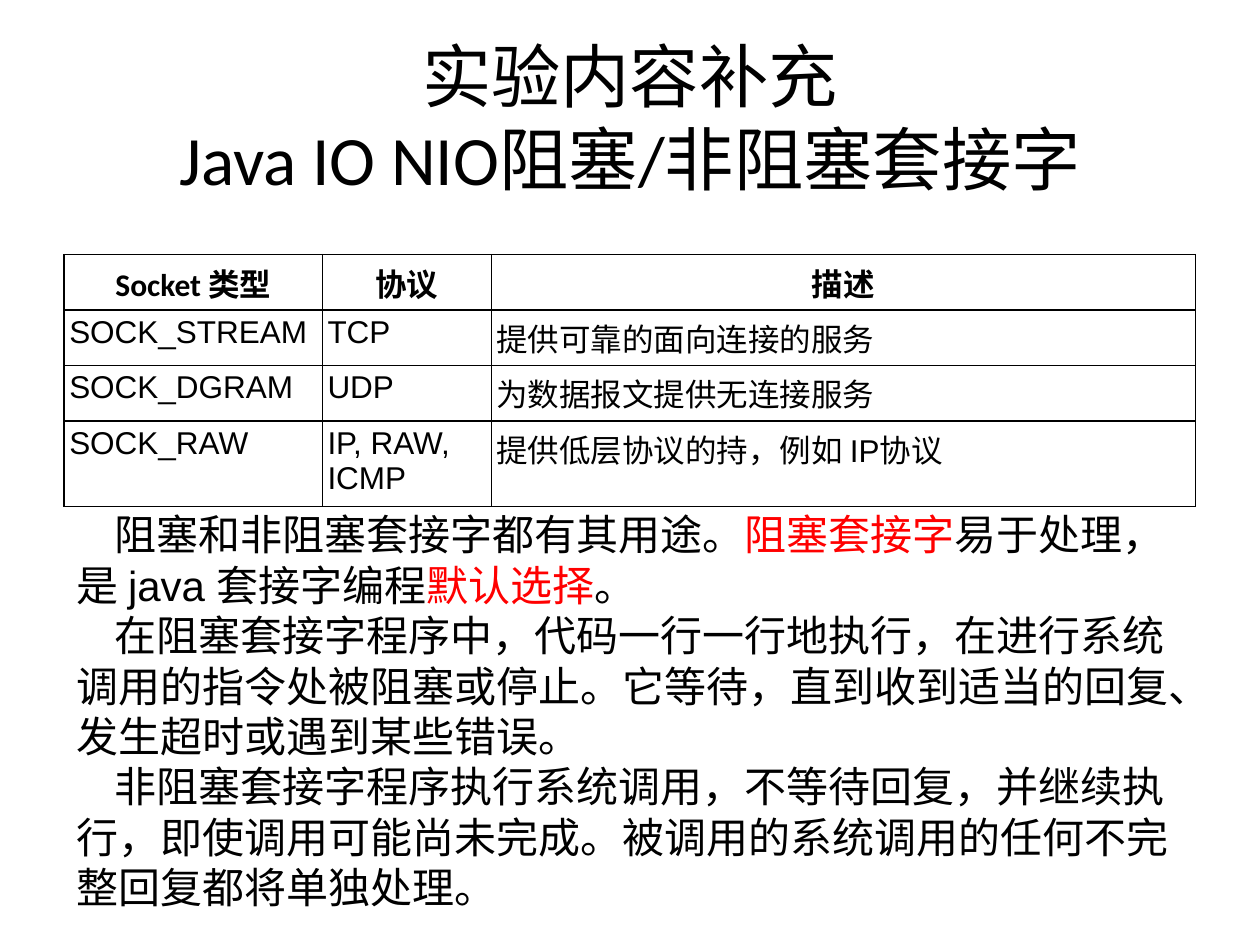
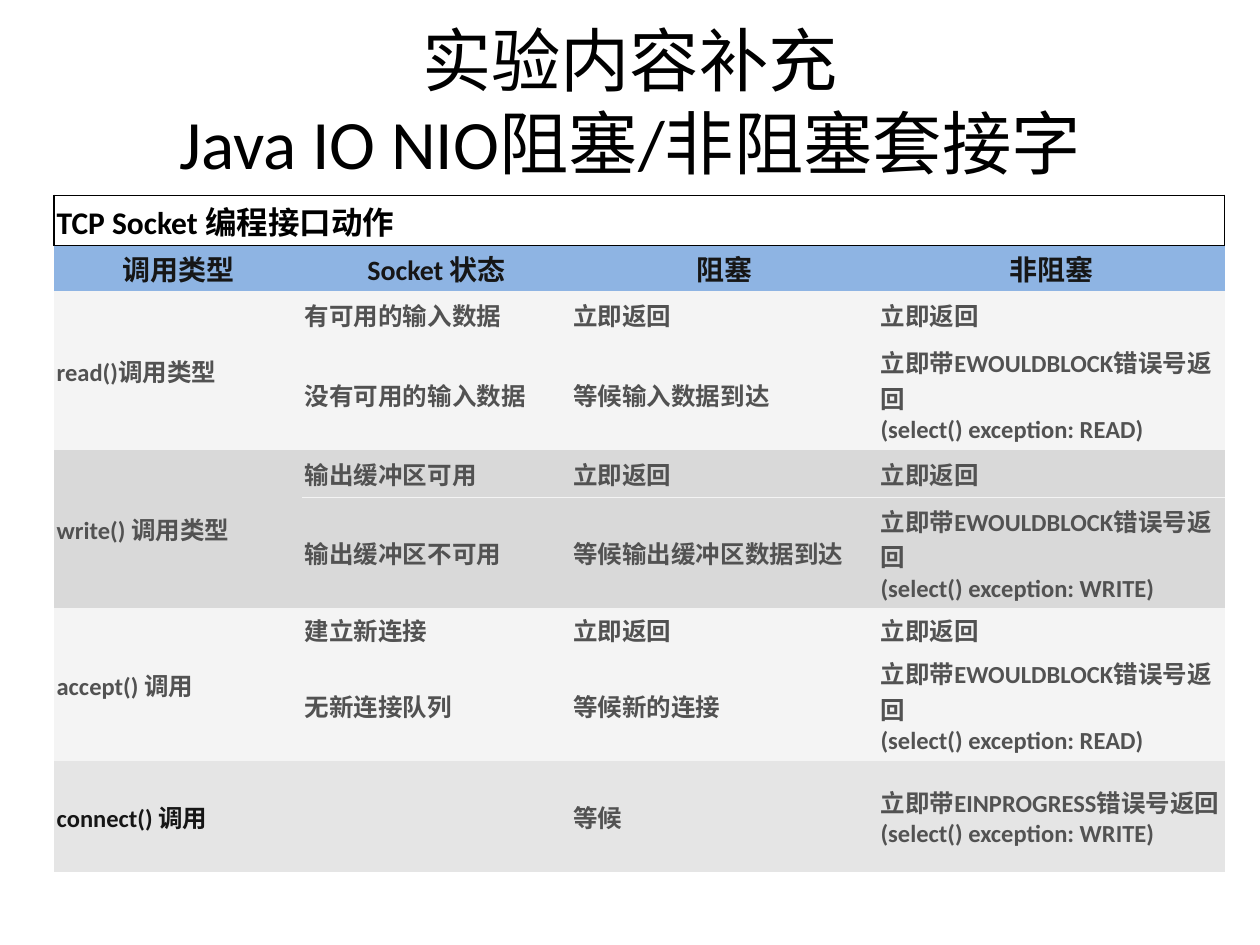
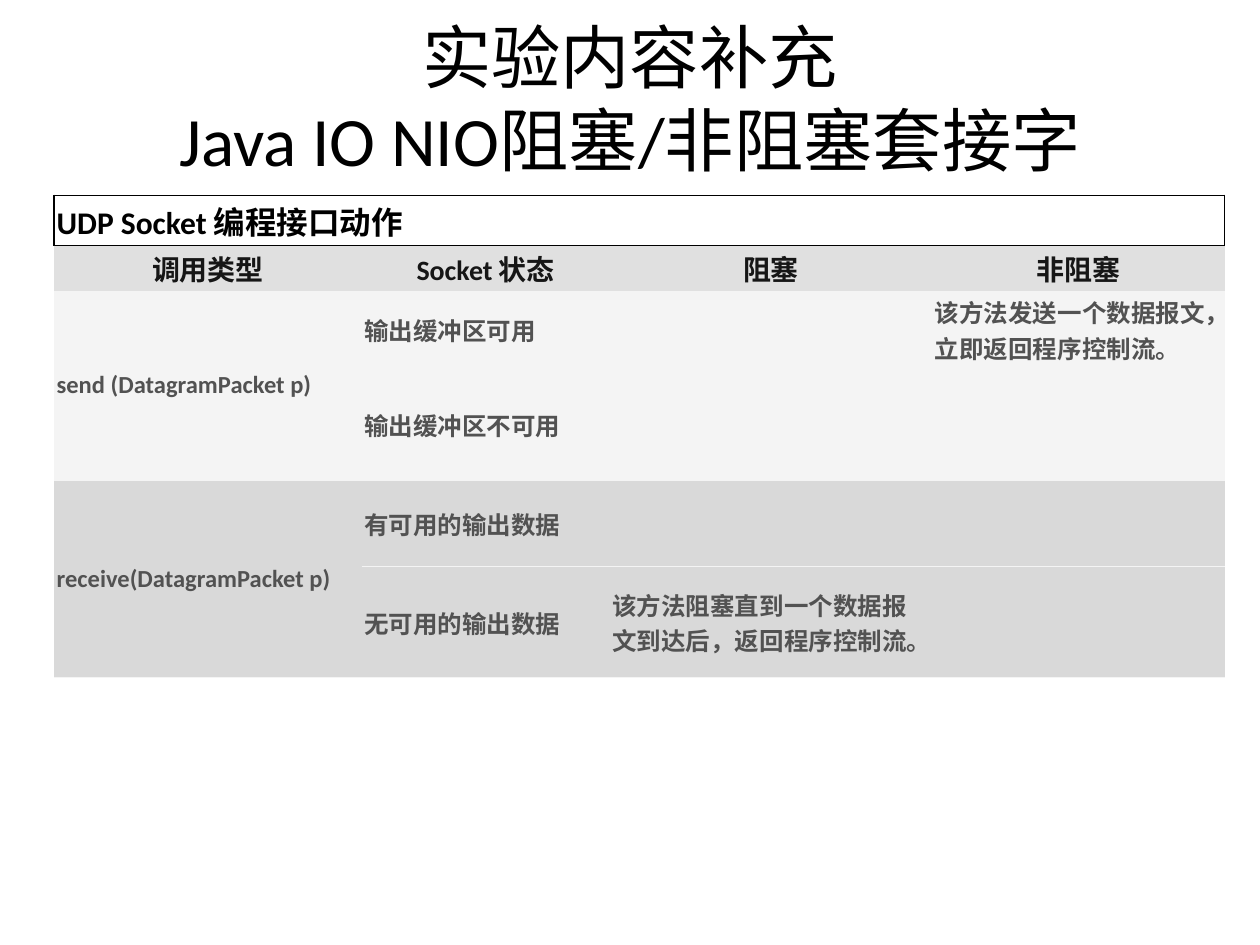
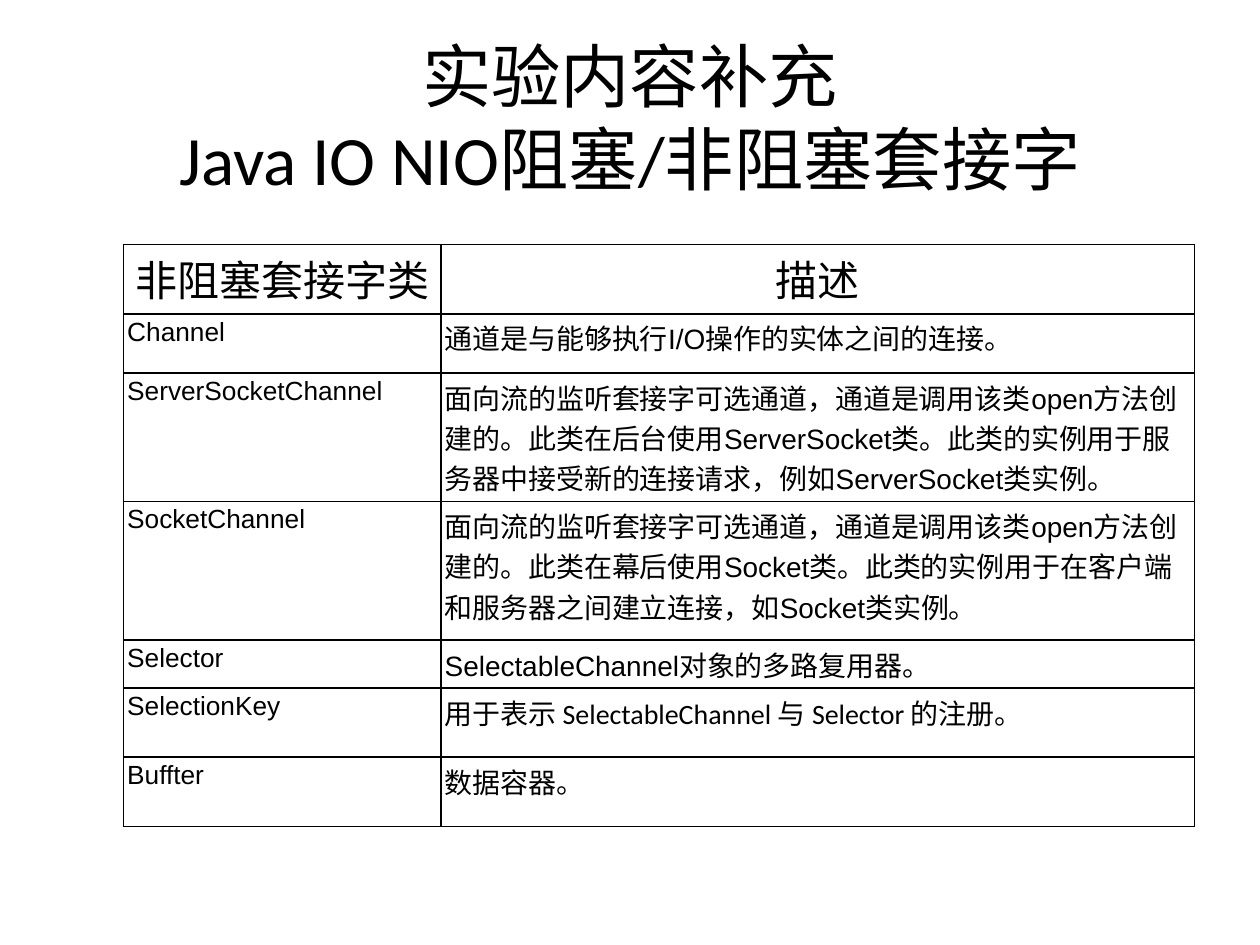
"""Four slides on blocking and non-blocking Java sockets."""
from dataclasses import dataclass
from typing import Any, Optional

from lxml import etree
from pptx import Presentation
from pptx.dml.color import RGBColor
from pptx.enum.text import MSO_ANCHOR, PP_ALIGN
from pptx.oxml.ns import qn
from pptx.util import Inches, Pt

CENTER, LEFT = PP_ALIGN.CENTER, PP_ALIGN.LEFT
TOP, MIDDLE = MSO_ANCHOR.TOP, MSO_ANCHOR.MIDDLE
PLAIN_STYLE = "{2D5ABB26-0587-4C30-8999-92F81FD0307C}"
COLORS = {
    "black": "000000", "red": "FF0000", "white": "FFFFFF", "head": "161616",
    "text": "525252", "blue": "8EB4E3", "pale": "F4F4F4", "grey": "D9D9D9",
    "light": "E5E5E5", "silver": "E0E0E0",
}
TITLE = ["实验内容补充", "Java IO NIO阻塞/非阻塞套接字"]
STATE_HEADS = ["调用类型", "Socket 状态", "阻塞", "非阻塞"]
AT_ONCE = "立即返回"
READ_ERROR = "立即带EWOULDBLOCK错误号返回\n(select() exception: READ)"
WRITE_ERROR = "立即带EWOULDBLOCK错误号返回\n(select() exception: WRITE)"


@dataclass(frozen=True)
class Style:
    """Text format of a run and its paragraph."""
    size: float
    name: str = "Calibri"
    bold: bool = False
    color: str = "black"
    align: Any = LEFT


@dataclass(frozen=True)
class Grid:
    """Place and measures of a table in inches."""
    left: float
    top: float
    cols: list[float]
    rows: list[float]
    inset: float
    anchor: Any = TOP


@dataclass(frozen=True)
class StateRow:
    """Texts and fill of one row of a socket state table."""
    texts: list[Optional[str]]
    fill: str


TITLE_STYLE = Style(39.6, align=CENTER)
BODY = Style(24, "Arial")
BODY_RED = Style(24, "Arial", color="red")
TYPE_HEAD = Style(18, bold=True, align=CENTER)
TYPE_CELL = Style(18, "Arial")
BANNER = Style(18, bold=True)
STATE_HEAD = Style(16, bold=True, color="head", align=CENTER)
STATE_CELL = Style(14, bold=True, color="text")
STATE_DARK = Style(14, bold=True, color="head")
CLASS_HEAD = Style(24, align=CENTER)
CLASS_NAME = Style(15, "Arial")
CLASS_TEXT = Style(16, "Arial")
CLASS_CALIBRI = Style(16)


def add_run(p: Any, text: str, style: Style) -> None:
    """Add a formatted run to a paragraph."""
    r = p.add_run()
    r.text = text
    values = {"size": Pt(style.size), "name": style.name, "bold": style.bold}
    for key, value in values.items():
        setattr(r.font, key, value)
    r.font.color.rgb = RGBColor.from_string(COLORS[style.color])
    p.alignment = style.align


def add_box(slide: Any, box: tuple[float, ...], anchor: Any) -> Any:
    """Add a wrapping text box and return its text frame."""
    tf = slide.shapes.add_textbox(*map(Inches, box)).text_frame
    for key, value in {"word_wrap": True, "vertical_anchor": anchor}.items():
        setattr(tf, key, value)
    return tf


def add_slide(prs: Any, top: float, height: float) -> Any:
    """Add a blank slide with the shared title."""
    slide = prs.slides.add_slide(prs.slide_layouts[6])
    p = add_box(slide, (0.5, top, 9, height), MIDDLE).paragraphs[0]
    p.line_spacing = Pt(47.5)
    add_run(p, TITLE[0], TITLE_STYLE)
    p.add_line_break()
    add_run(p, TITLE[1], TITLE_STYLE)
    return slide


def add_grid(slide: Any, grid: Grid) -> Any:
    """Add an unstyled table with the measures of a grid."""
    sp = slide.shapes.add_table(
        len(grid.rows), len(grid.cols), Inches(grid.left), Inches(grid.top),
        Inches(sum(grid.cols)), Inches(sum(grid.rows)))
    next(sp._element.iter(qn("a:tableStyleId"))).text = PLAIN_STYLE
    table = sp.table
    for col, width in zip(table.columns, grid.cols):
        col.width = Inches(width)
    for row, height in zip(table.rows, grid.rows):
        row.height = Inches(height)
    for cell in table.iter_cells():
        for side in ("left", "right", "top", "bottom"):
            setattr(cell, f"margin_{side}", Inches(grid.inset))
        cell.vertical_anchor = grid.anchor
    return table


def set_cell(cell: Any, text: Optional[str], style: Style) -> None:
    """Write one paragraph for each line of a text."""
    for i, line in enumerate(text.split("\n") if text else []):
        tf = cell.text_frame
        add_run(tf.add_paragraph() if i else tf.paragraphs[0], line, style)


def set_look(cell: Any, fill: str, line: str, sides: str, width: float) -> None:
    """Fill a cell and draw the named borders."""
    cell.fill.solid()
    cell.fill.fore_color.rgb = RGBColor.from_string(COLORS[fill])
    tc_pr = cell._tc.get_or_add_tcPr()
    for i, side in enumerate(s for s in "LRTB" if s in sides):
        ln = etree.Element(qn(f"a:ln{side}"), w=str(Pt(width)))
        solid = etree.SubElement(ln, qn("a:solidFill"))
        etree.SubElement(solid, qn("a:srgbClr"), val=COLORS[line])
        tc_pr.insert(i, ln)


def add_ruled_table(slide: Any, grid: Grid, rows: list[list[str]],
                    styles: list[list[Style]]) -> None:
    """Add a table with black lines around every cell."""
    table = add_grid(slide, grid)
    for r, (texts, row_styles) in enumerate(zip(rows, styles)):
        for c, (text, style) in enumerate(zip(texts, row_styles)):
            cell = table.cell(r, c)
            set_cell(cell, text, style)
            set_look(cell, "white", "black", "LRTB", 1)


def add_state_table(slide: Any, grid: Grid, banner: str, head_fill: str,
                    rows: list[StateRow]) -> None:
    """Add a socket state table with a banner and merged call names."""
    table = add_grid(slide, grid)
    for c, head in enumerate(STATE_HEADS):
        set_look(table.cell(0, c), "white", "black", "LRT" if c else "LRTB", 1)
        set_cell(table.cell(1, c), head, STATE_HEAD)
        set_look(table.cell(1, c), head_fill, "pale", "B", 0.6)
    table.cell(0, 0).merge(table.cell(0, 3))
    set_cell(table.cell(0, 0), banner, BANNER)
    for r, row in enumerate(rows, 2):
        line = "light" if row.fill == "light" else "pale"
        for c, text in enumerate(row.texts):
            cell = table.cell(r, c)
            dark = row.fill == "light" and c == 0
            set_cell(cell, text, STATE_DARK if dark else STATE_CELL)
            set_look(cell, row.fill, line, "TB", 0.6)
        if row.texts[0] is None:
            table.cell(r - 1, 0).merge(table.cell(r, 0))


def socket_types(prs: Any) -> None:
    """Build the slide on socket types."""
    slide = add_slide(prs, 0.3, 1.25)
    rows = [
        ["Socket 类型", "协议", "描述"],
        ["SOCK_STREAM", "TCP", "提供可靠的面向连接的服务"],
        ["SOCK_DGRAM", "UDP", "为数据报文提供无连接服务"],
        ["SOCK_RAW", "IP, RAW, ICMP", "提供低层协议的持，例如 IP协议"],
    ]
    grid = Grid(0.51, 2.02, [2.05, 1.34, 5.59], [0.44, 0.44, 0.44, 0.63], 0.04)
    add_ruled_table(slide, grid, rows, [[TYPE_HEAD] * 3] + [[TYPE_CELL] * 3] * 3)
    paragraphs = [
        [("阻塞和非阻塞套接字都有其用途。", BODY), ("阻塞套接字", BODY_RED),
         ("易于处理，是 java 套接字编程", BODY), ("默认选择", BODY_RED), ("。", BODY)],
        [("在阻塞套接字程序中，代码一行一行地执行，在进行系统调用的指令处被阻塞或停止。"
          "它等待，直到收到适当的回复、发生超时或遇到某些错误。", BODY)],
        [("非阻塞套接字程序执行系统调用，不等待回复，并继续执行，即使调用可能尚未完成。"
          "被调用的系统调用的任何不完整回复都将单独处理。", BODY)],
    ]
    tf = add_box(slide, (0.51, 3.99, 8.98, 3.33), TOP)
    for i, runs in enumerate(paragraphs):
        p = tf.add_paragraph() if i else tf.paragraphs[0]
        p.line_spacing = Pt(28.8)
        p._p.get_or_add_pPr().set("indent", str(Inches(0.3)))
        for text, style in runs:
            add_run(p, text, style)


def tcp_states(prs: Any) -> None:
    """Build the slide on TCP socket calls."""
    slide = add_slide(prs, 0.21, 1.17)
    rows = [
        StateRow(["read()调用类型", "有可用的输入数据", AT_ONCE, AT_ONCE], "pale"),
        StateRow([None, "没有可用的输入数据", "等候输入数据到达", READ_ERROR], "pale"),
        StateRow(["write() 调用类型", "输出缓冲区可用", AT_ONCE, AT_ONCE], "grey"),
        StateRow([None, "输出缓冲区不可用", "等候输出缓冲区数据到达", WRITE_ERROR], "grey"),
        StateRow(["accept() 调用", "建立新连接", AT_ONCE, AT_ONCE], "pale"),
        StateRow([None, "无新连接队列", "等候新的连接", READ_ERROR], "pale"),
        StateRow(["connect() 调用", "", "等候",
                  "立即带EINPROGRESS错误号返回\n(select() exception: WRITE)"], "light"),
    ]
    grid = Grid(0.43, 1.55, [1.97, 2.13, 2.44, 2.75],
                [0.4, 0.36, 0.38, 0.88, 0.38, 0.88, 0.33, 0.88, 0.88], 0.02, MIDDLE)
    add_state_table(slide, grid, "TCP Socket 编程接口动作", "blue", rows)


def udp_states(prs: Any) -> None:
    """Build the slide on UDP socket calls."""
    slide = add_slide(prs, 0.16, 1.23)
    rows = [
        StateRow(["send (DatagramPacket p)", "输出缓冲区可用", "",
                  "该方法发送一个数据报文，立即返回程序控制流。"], "pale"),
        StateRow([None, "输出缓冲区不可用", "", ""], "pale"),
        StateRow(["receive(DatagramPacket p)", "有可用的输出数据", "", ""], "grey"),
        StateRow([None, "无可用的输出数据",
                  "该方法阻塞直到一个数据报文到达后，返回程序控制流。", ""], "grey"),
    ]
    grid = Grid(0.43, 1.55, [2.44, 1.97, 2.56, 2.32],
                [0.4, 0.36, 0.62, 0.88, 0.69, 0.88], 0.02, MIDDLE)
    add_state_table(slide, grid, "UDP Socket 编程接口动作", "silver", rows)


def channel_classes(prs: Any) -> None:
    """Build the slide on non-blocking socket classes."""
    slide = add_slide(prs, 0.3, 1.25)
    rows = [
        ["非阻塞套接字类", "描述"],
        ["Channel", "通道是与能够执行I/O操作的实体之间的连接。"],
        ["ServerSocketChannel",
         "面向流的监听套接字可选通道，通道是调用该类open方法创建的。此类在后台使用"
         "ServerSocket类。此类的实例用于服务器中接受新的连接请求，例如ServerSocket类实例。"],
        ["SocketChannel",
         "面向流的监听套接字可选通道，通道是调用该类open方法创建的。此类在幕后使用"
         "Socket类。此类的实例用于在客户端和服务器之间建立连接，如Socket类实例。"],
        ["Selector", "SelectableChannel对象的多路复用器。"],
        ["SelectionKey", "用于表示 SelectableChannel 与 Selector 的注册。"],
        ["Buffter", "数据容器。"],
    ]
    plain = [CLASS_NAME, CLASS_TEXT]
    styles = [[CLASS_HEAD] * 2] + [plain] * 4 + [[CLASS_NAME, CLASS_CALIBRI], plain]
    grid = Grid(0.98, 1.94, [2.52, 5.98],
                [0.55, 0.47, 1.02, 1.1, 0.38, 0.55, 0.55], 0.03)
    add_ruled_table(slide, grid, rows, styles)


def main() -> None:
    """Build and save the presentation."""
    prs = Presentation()
    prs.slide_width, prs.slide_height = Inches(10), Inches(7.5)
    for build in (socket_types, tcp_states, udp_states, channel_classes):
        build(prs)
    prs.save("out.pptx")


if __name__ == "__main__":
    main()
